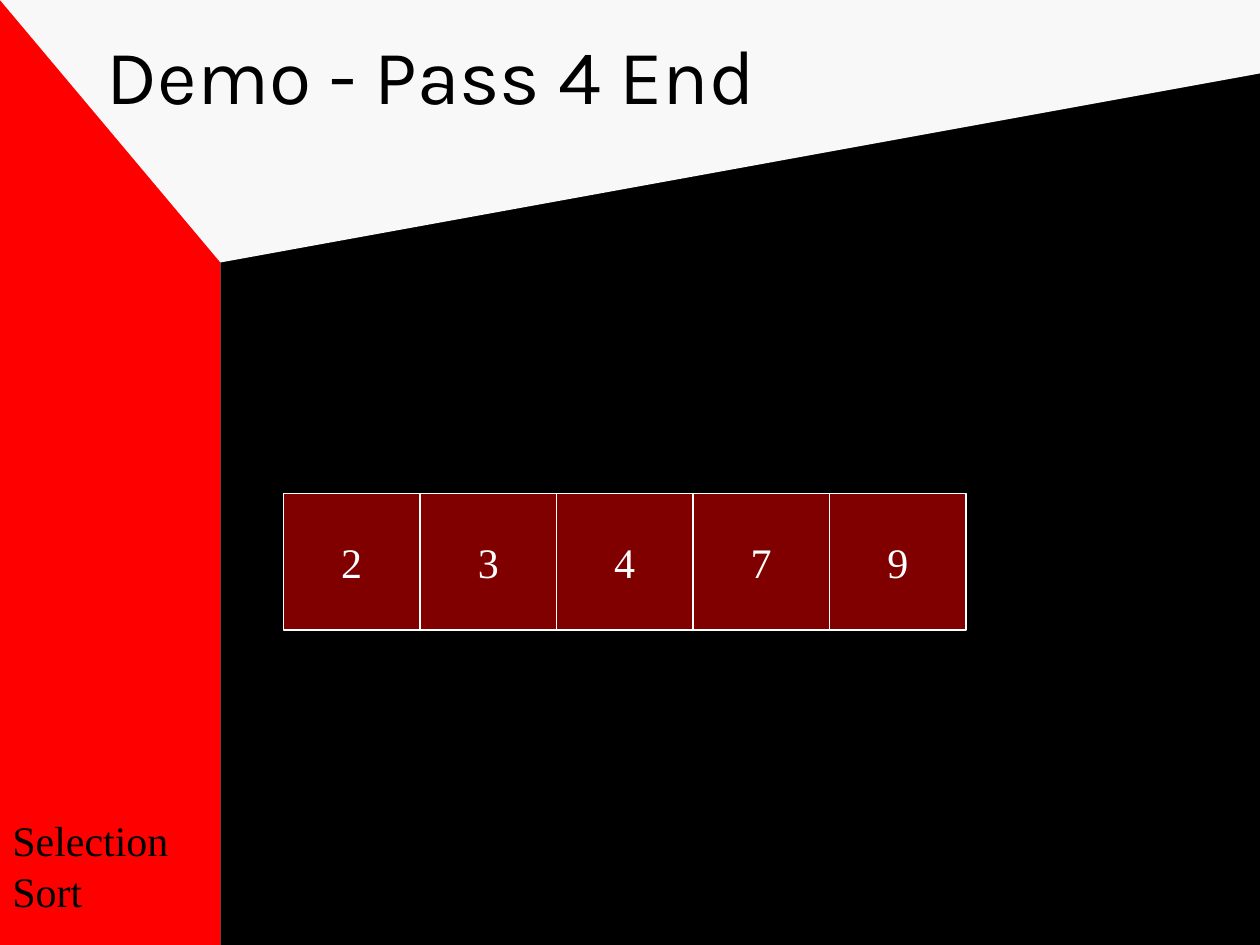
"""Build the slide that shows the array after pass 4 of selection sort."""
from dataclasses import dataclass

from lxml.etree import SubElement
from pptx import Presentation
from pptx.dml.color import RGBColor as RGB
from pptx.enum.shapes import MSO_SHAPE as Shape
from pptx.enum.text import MSO_ANCHOR as Anchor, PP_ALIGN as Align
from pptx.oxml.ns import qn
from pptx.util import Inches, Pt

COLORS = {"bg": "808080", "floor": "000000", "wall": "FF0000", "ceiling": "F8F8F8",
          "cell": "FF0000", "light": "FFFFFF", "ink": "000000"}
SERIF, SANS = "Times New Roman", "Karla"
COLS, ROWS = 120, 90
UNIT = Inches(10) // COLS
WALL_COLS, CORNER_ROW, EDGE_ROW = 21, 25, 7
ARRAY_COL, ARRAY_ROW, CELL = 27, 47, 13
VALUES = (2, 3, 4, 7, 9)


@dataclass
class Box:
    col: float
    row: float
    cols: float
    rows: float

    def emu(self) -> list[int]:
        return [round(n * UNIT) for n in (self.col, self.row, self.cols, self.rows)]


@dataclass
class Label:
    text: str
    size: int
    font: str
    color: str
    before: int = 0


def paint(sp, color: str) -> None:
    sp.shadow.inherit = False
    sp.fill.solid()
    sp.fill.fore_color.rgb = RGB.from_string(COLORS[color])
    sp.line.fill.background()


def add_rect(s, box: Box, color: str):
    sp = s.shapes.add_shape(Shape.RECTANGLE, *box.emu())
    paint(sp, color)
    return sp


def write(sp, label: Label, wrap: bool = True):
    tf = sp.text_frame
    tf.word_wrap = wrap
    p = tf.paragraphs[0]
    p.text = label.text
    p.space_before = Pt(label.before)
    p.font.size, p.font.name = Pt(label.size), label.font
    p.font.color.rgb = RGB.from_string(COLORS[label.color])
    return tf


def add_label(s, box: Box, label: Label) -> None:
    write(s.shapes.add_textbox(*box.emu()), label)


def add_ceiling(s) -> None:
    fb = s.shapes.build_freeform(0, 0, scale=UNIT)
    fb.add_line_segments([(WALL_COLS, CORNER_ROW), (COLS, EDGE_ROW), (COLS, 0)])
    paint(fb.convert_to_shape(), "ceiling")


def add_cell(s, index: int, value: int) -> None:
    sp = add_rect(s, Box(ARRAY_COL + index * CELL, ARRAY_ROW, CELL, CELL), "cell")
    SubElement(sp.fill._xPr.find(".//" + qn("a:srgbClr")), qn("a:alpha"), val="50000")
    sp.line.color.rgb = RGB.from_string(COLORS["light"])
    sp.line.width = Pt(0.75)
    tf = write(sp, Label(str(value), 24, SERIF, "light"), wrap=False)
    tf.vertical_anchor = Anchor.MIDDLE
    tf.paragraphs[0].alignment = Align.CENTER


def main() -> None:
    prs = Presentation()
    prs.slide_width, prs.slide_height = COLS * UNIT, ROWS * UNIT
    s = prs.slides.add_slide(prs.slide_layouts[6])
    s.background.fill.solid()
    s.background.fill.fore_color.rgb = RGB.from_string(COLORS["bg"])
    add_rect(s, Box(WALL_COLS, 0, COLS - WALL_COLS, ROWS), "floor")
    add_rect(s, Box(0, 0, WALL_COLS, ROWS), "wall")
    add_ceiling(s)
    add_label(s, Box(0, 77, WALL_COLS, 10.8), Label("Selection\vSort", 24, SERIF, "ink", 15))
    add_label(s, Box(9, 2, 102, 15), Label("Demo - Pass 4 End", 44, SANS, "ink"))
    for index, value in enumerate(VALUES):
        add_cell(s, index, value)
    prs.save("out.pptx")


if __name__ == "__main__":
    main()
